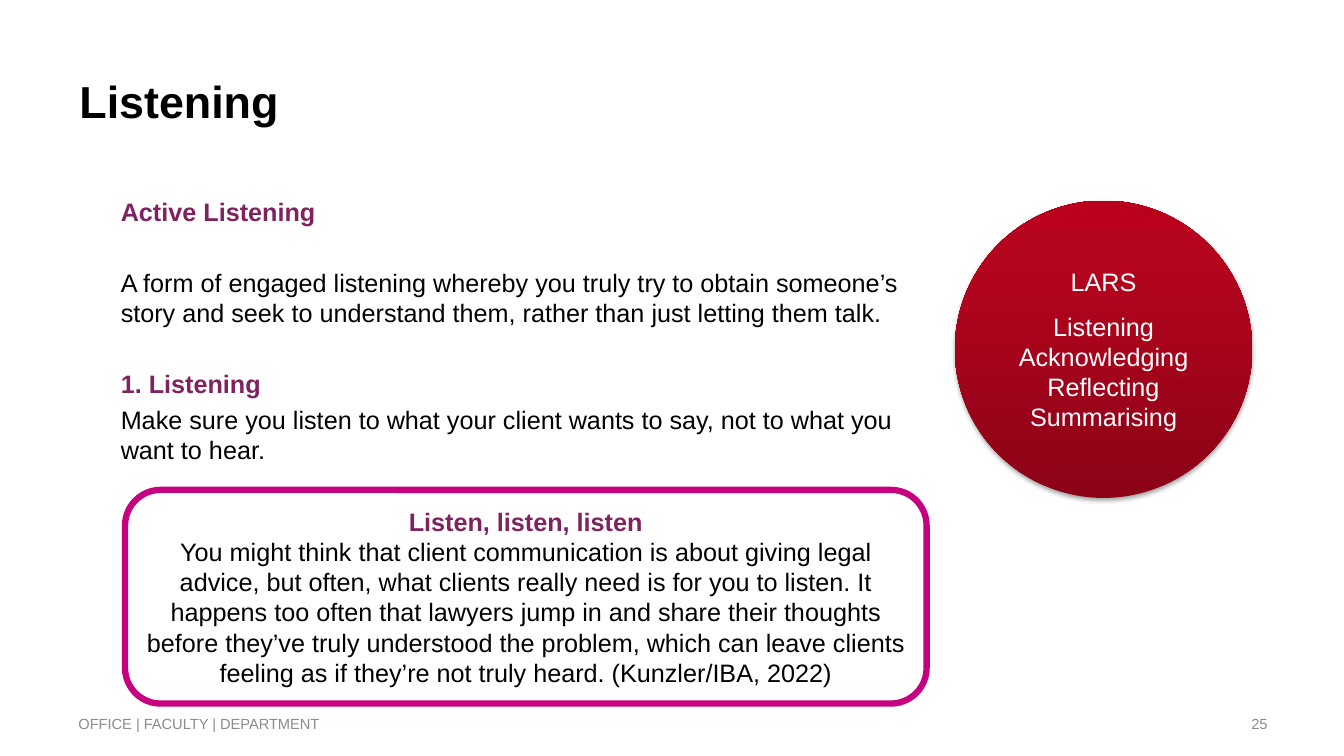
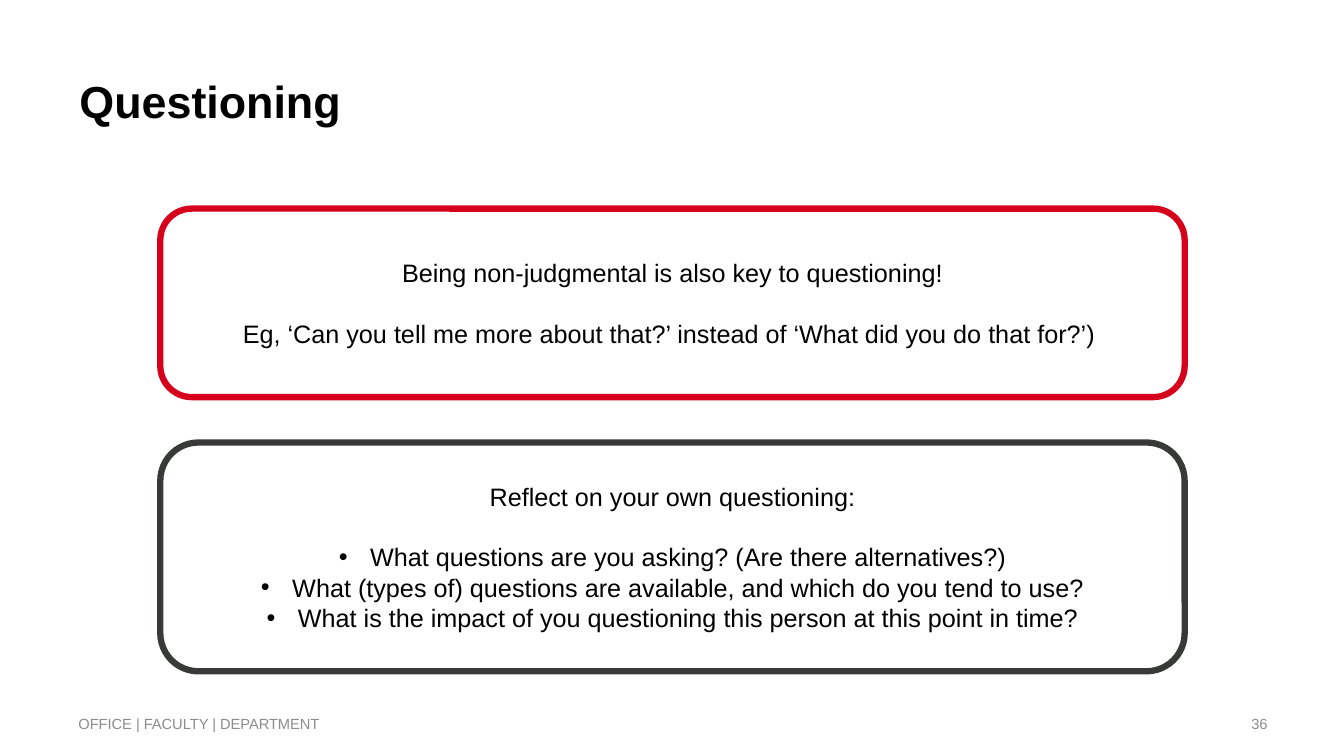
from dataclasses import dataclass

from lxml import etree
from pptx import Presentation
from pptx.dml.color import RGBColor
from pptx.enum.shapes import MSO_SHAPE
from pptx.enum.text import MSO_ANCHOR, PP_ALIGN
from pptx.oxml import parse_xml
from pptx.oxml.ns import nsdecls, qn
from pptx.util import Emu, Pt

LEFT, CENTER, RIGHT = PP_ALIGN.LEFT, PP_ALIGN.CENTER, PP_ALIGN.RIGHT
TOP, MIDDLE = MSO_ANCHOR.TOP, MSO_ANCHOR.MIDDLE
ROUNDED, CIRCLE = MSO_SHAPE.ROUNDED_RECTANGLE, MSO_SHAPE.FLOWCHART_CONNECTOR

BLACK = RGBColor(0x00, 0x00, 0x00)
WHITE = RGBColor(0xFF, 0xFF, 0xFF)
GREY = RGBColor(0x8C, 0x8C, 0x8C)
CHARCOAL = RGBColor(0x37, 0x3A, 0x36)
PLUM = RGBColor(0x80, 0x22, 0x5F)
MAGENTA = RGBColor(0xC6, 0x00, 0x7E)
RED = RGBColor(0xD6, 0x00, 0x1C)
RED_STOPS = (
    (0, RGBColor(0x8C, 0x03, 0x17)),
    (80, RGBColor(0xB5, 0x04, 0x1E)),
    (100, RGBColor(0xBA, 0x00, 0x1C)),
)

FONT = "Arial"
TITLE_SIZE, BODY_SIZE, FOOTER_SIZE = 32, 18, 10.5
FRAME_WIDTH = 4.5
LINE_GAP = 21.5   # one empty line of body text, in points
BODY_GAP = 3.8    # space between neighbouring body paragraphs
BLOCK_GAP = 29    # space between blocks of body text
BULLET_INDENT = 31
FOOTER = "OFFICE | FACULTY | DEPARTMENT"


@dataclass
class Para:
    text: str
    color: RGBColor = BLACK
    bold: bool = False
    size: float = BODY_SIZE
    before: float = 0
    bullet: bool = False


def px(length):
    return Emu(length * 9144)


def add_bullet(paragraph):
    props = paragraph._p.get_or_add_pPr()
    props.set("marL", str(px(BULLET_INDENT)))
    props.set("indent", str(-px(BULLET_INDENT)))
    etree.SubElement(props, qn("a:buFont")).set("typeface", FONT)
    etree.SubElement(props, qn("a:buChar")).set("char", "•")


def write(frame, paras, align, anchor):
    frame.word_wrap = True
    frame.vertical_anchor = anchor
    for index, para in enumerate(paras):
        paragraph = frame.add_paragraph() if index else frame.paragraphs[0]
        paragraph.alignment = align
        if para.before:
            paragraph.space_before = Pt(para.before)
        if para.bullet:
            add_bullet(paragraph)
        run = paragraph.add_run()
        run.text = para.text
        run.font.name = FONT
        run.font.size = Pt(para.size)
        run.font.bold = para.bold
        run.font.color.rgb = para.color


def add_text(slide, box, paras, align=LEFT, anchor=TOP):
    textbox = slide.shapes.add_textbox(*map(px, box))
    write(textbox.text_frame, paras, align, anchor)


def add_callout(slide, box, frame_color, paras):
    callout = slide.shapes.add_shape(ROUNDED, *map(px, box))
    callout.shadow.inherit = False
    callout.fill.solid()
    callout.fill.fore_color.rgb = WHITE
    callout.line.color.rgb = frame_color
    callout.line.width = Pt(FRAME_WIDTH)
    write(callout.text_frame, paras, CENTER, MIDDLE)


def add_badge(slide, box, paras):
    badge = slide.shapes.add_shape(CIRCLE, *map(px, box))
    badge.shadow.inherit = False
    badge.line.fill.background()
    # Three-stop gradient, dark at the bottom
    badge.fill.gradient()
    gradient = badge._element.spPr.find(qn("a:gradFill"))
    stops = "".join(
        f'<a:gs pos="{position * 1000}"><a:srgbClr val="{color}"/></a:gs>'
        for position, color in RED_STOPS)
    gradient.getparent().replace(gradient, parse_xml(
        f'<a:gradFill {nsdecls("a")} rotWithShape="1"><a:gsLst>{stops}</a:gsLst>'
        '<a:lin ang="16200000" scaled="0"/></a:gradFill>'))
    # Soft shadow below
    badge._element.spPr.find(qn("a:effectLst")).append(parse_xml(
        f'<a:outerShdw {nsdecls("a")} blurRad="{Pt(3.1)}" dist="{Pt(1.8)}" '
        'dir="5400000" rotWithShape="0"><a:srgbClr val="000000">'
        '<a:alpha val="35000"/></a:srgbClr></a:outerShdw>'))
    write(badge.text_frame, paras, CENTER, MIDDLE)


def add_slide(prs, title, number):
    slide = prs.slides.add_slide(prs.slide_layouts[6])
    add_text(slide, (69, 64, 1043, 71),
             [Para(title, bold=True, size=TITLE_SIZE)], anchor=MIDDLE)
    add_text(slide, (68, 698, 588, 40),
             [Para(FOOTER, GREY, size=FOOTER_SIZE)], anchor=MIDDLE)
    add_text(slide, (956, 698, 311, 40),
             [Para(str(number), GREY, size=FOOTER_SIZE)], RIGHT, MIDDLE)
    return slide


def build_listening(prs):
    slide = add_slide(prs, "Listening", 25)
    add_text(slide, (110, 190, 824, 290), [
        Para("Active Listening", PLUM, True),
        Para("A form of engaged listening whereby you truly try to obtain "
             "someone’s story and seek to understand them, rather than just "
             "letting them talk.", before=BLOCK_GAP),
        Para("1. Listening", PLUM, True, before=BLOCK_GAP),
        Para("Make sure you listen to what your client wants to say, not to "
             "what you want to hear.", before=BODY_GAP),
    ])
    add_badge(slide, (947, 199, 295, 295), [
        Para("LARS", WHITE),
        Para("Listening", WHITE, before=10),
        *(Para(skill, WHITE)
          for skill in ("Acknowledging", "Reflecting", "Summarising")),
    ])
    add_callout(slide, (124, 486, 795, 212), MAGENTA, [
        Para("Listen, listen, listen", PLUM, True),
        Para("You might think that client communication is about giving legal "
             "advice, but often, what clients really need is for you to "
             "listen. It happens too often that lawyers jump in and share "
             "their thoughts before they’ve truly understood the problem, "
             "which can leave clients feeling as if they’re not truly heard. "
             "(Kunzler/IBA, 2022)"),
    ])


def build_questioning(prs):
    slide = add_slide(prs, "Questioning", 36)
    add_callout(slide, (159, 207, 1016, 187), RED, [
        Para("Being non-judgmental is also key to questioning!"),
        Para("Eg, ‘Can you tell me more about that?’ instead of "
             "‘What did you do that for?’) ", before=LINE_GAP),
    ])
    questions = (
        "What questions are you asking? (Are there alternatives?)",
        "What (types of) questions are available, and which do you tend to use?",
        "What is the impact of you questioning this person at this point in time?",
    )
    add_callout(slide, (159, 439, 1016, 227), CHARCOAL, [
        Para("Reflect on your own questioning:"),
        *(Para(question, before=0 if index else LINE_GAP, bullet=True)
          for index, question in enumerate(questions)),
    ])


def main():
    prs = Presentation()
    prs.slide_width, prs.slide_height = px(1333), px(750)
    build_listening(prs)
    build_questioning(prs)
    prs.save("out.pptx")


if __name__ == "__main__":
    main()
